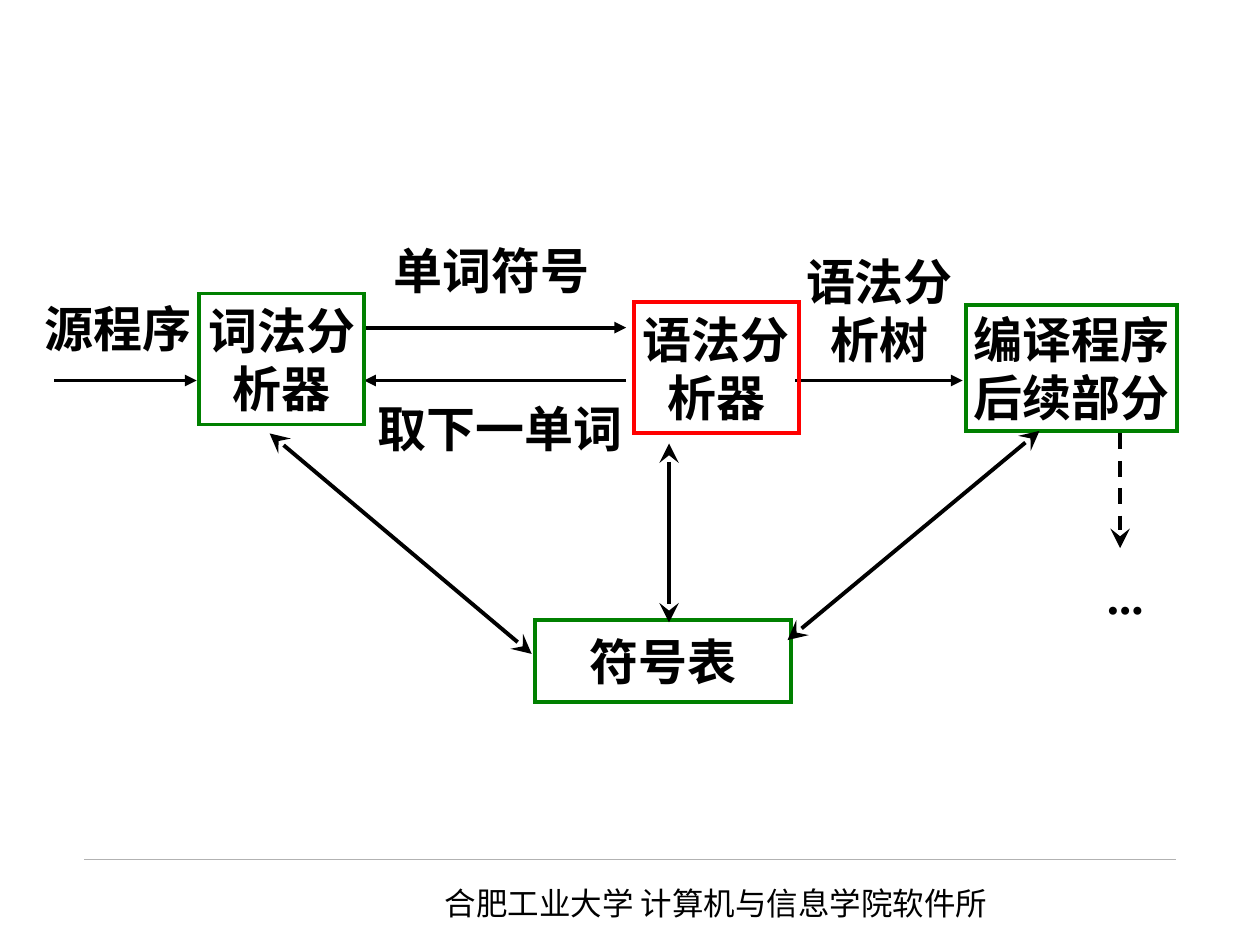
from lxml import etree
from pptx import Presentation
from pptx.dml.color import RGBColor
from pptx.enum.dml import MSO_LINE
from pptx.enum.shapes import MSO_CONNECTOR, MSO_SHAPE
from pptx.enum.text import MSO_ANCHOR, PP_ALIGN
from pptx.oxml.ns import qn
from pptx.util import Inches, Pt

RECTANGLE = MSO_SHAPE.RECTANGLE
STRAIGHT = MSO_CONNECTOR.STRAIGHT
DASH = MSO_LINE.DASH
MIDDLE, TOP = MSO_ANCHOR.MIDDLE, MSO_ANCHOR.TOP
CENTER, LEFT = PP_ALIGN.CENTER, PP_ALIGN.LEFT

BLACK, GREEN, RED, GRAY = "000000", "008000", "FF0000", "B2B2B2"
LATIN_FONT, CHINESE_FONT = "Times New Roman", "Noto Sans CJK SC"
DIAGRAM_LINE_SPACING = Pt(33.4)
BLANK_LAYOUT = 6
UPPER_FLOW, LOWER_FLOW = 2.6, 3.02
ARROW_SIZES = {"triangle": "med", "stealth": "lg"}

STAGES = [
    ("词法分\n析器", (1.58, 2.33, 1.31, 1.04), GREEN),
    ("语法分\n析器", (5.03, 2.4, 1.31, 1.04), RED),
    ("符号表", (4.25, 4.92, 2.03, 0.65), GREEN),
    ("编译程序\n后续部分", (7.67, 2.42, 1.67, 1), GREEN),
]
LABELS = [
    ("源程序", (0.31, 2.27, 1.25, 0.67)),
    ("单词符号", (3.05, 1.77, 1.7, 0.75)),
    ("取下一单词", (2.92, 3.02, 2.1, 0.75)),
    ("...", (8.47, 4.35, 0.92, 0.75)),
    ("语法分\n析树", (6.3, 1.94, 1.36, 1.04)),
]
DATA_FLOWS = [
    ((0.43, LOWER_FLOW), (1.56, LOWER_FLOW)),
    ((2.89, UPPER_FLOW), (4.97, UPPER_FLOW)),
    ((4.97, LOWER_FLOW), (2.89, LOWER_FLOW)),
    ((6.31, LOWER_FLOW), (7.64, LOWER_FLOW)),
]
TABLE_ACCESSES = [
    ((2.14, 3.44), (4.22, 5.19)),
    ((5.31, 3.52), (5.31, 4.94)),
    ((8.25, 3.42), (6.25, 5.08)),
]


def color(hex_value):
    return RGBColor.from_string(hex_value)


def add_text_run(paragraph, text, font, size, bold):
    run = paragraph.add_run()
    run.text = text
    run.font.name = font
    run.font.size = Pt(size)
    run.font.bold = bold
    run.font.color.rgb = color(BLACK)
    east_asian = etree.SubElement(run._r.get_or_add_rPr(), qn("a:ea"))
    east_asian.set("typeface", CHINESE_FONT)


def write_diagram_text(frame, text):
    """Centre the text in the frame, one paragraph per line."""
    frame.word_wrap = False
    frame.vertical_anchor = MIDDLE
    frame.margin_left = frame.margin_right = 0
    for index, line in enumerate(text.split("\n")):
        paragraph = frame.paragraphs[0] if index == 0 else frame.add_paragraph()
        paragraph.alignment = CENTER
        paragraph.line_spacing = DIAGRAM_LINE_SPACING
        add_text_run(paragraph, line, LATIN_FONT, 28, True)


def add_label(slide, text, box):
    label = slide.shapes.add_textbox(*map(Inches, box))
    write_diagram_text(label.text_frame, text)


def add_stage(slide, text, box, outline):
    stage = slide.shapes.add_shape(RECTANGLE, *map(Inches, box))
    stage.shadow.inherit = False
    stage.fill.background()
    stage.line.color.rgb = color(outline)
    stage.line.width = Pt(2.25)
    corner = etree.SubElement(stage.line._get_or_add_ln(), qn("a:miter"))
    corner.set("lim", "800000")
    write_diagram_text(stage.text_frame, text)


def add_line(slide, start, end, stroke=BLACK, width=2.25, head=None, tail=None,
             dash=None):
    """Draw a line; head is the arrowhead at start, tail the one at end."""
    line = slide.shapes.add_connector(STRAIGHT, *map(Inches, start + end))
    line.line.color.rgb = color(stroke)
    line.line.width = Pt(width)
    if dash:
        line.line.dash_style = dash
    outline = line.line._get_or_add_ln()
    for tag, arrow in (("a:headEnd", head), ("a:tailEnd", tail)):
        if arrow:
            arrowhead = etree.SubElement(outline, qn(tag))
            arrowhead.set("type", arrow)
            arrowhead.set("w", ARROW_SIZES[arrow])
            arrowhead.set("len", ARROW_SIZES[arrow])
    etree.SubElement(line._element.spPr, qn("a:effectLst"))


def add_footer(slide):
    add_line(slide, (0.67, 6.82), (9.33, 6.82), stroke=GRAY, width=0.25)
    footer = slide.shapes.add_textbox(*map(Inches, (3.43, 6.97, 4.8, 0.4)))
    frame = footer.text_frame
    frame.word_wrap = True
    frame.vertical_anchor = TOP
    paragraph = frame.paragraphs[0]
    paragraph.alignment = LEFT
    paragraph.space_before = Pt(11.2)
    add_text_run(paragraph, "合肥工业大学 计算机与信息学院软件所",
                 CHINESE_FONT, 18, False)


def main():
    presentation = Presentation()
    presentation.slide_width, presentation.slide_height = Inches(10), Inches(7.5)
    slide = presentation.slides.add_slide(presentation.slide_layouts[BLANK_LAYOUT])

    add_footer(slide)
    for text, box in LABELS:
        add_label(slide, text, box)
    for start, end in DATA_FLOWS:
        add_line(slide, start, end, tail="triangle")
    for text, box, outline in STAGES:
        add_stage(slide, text, box, outline)
    for start, end in TABLE_ACCESSES:
        add_line(slide, start, end, head="stealth", tail="stealth")
    add_line(slide, (8.89, 3.44), (8.89, 4.35), tail="stealth", dash=DASH)

    presentation.save("out.pptx")


if __name__ == "__main__":
    main()
